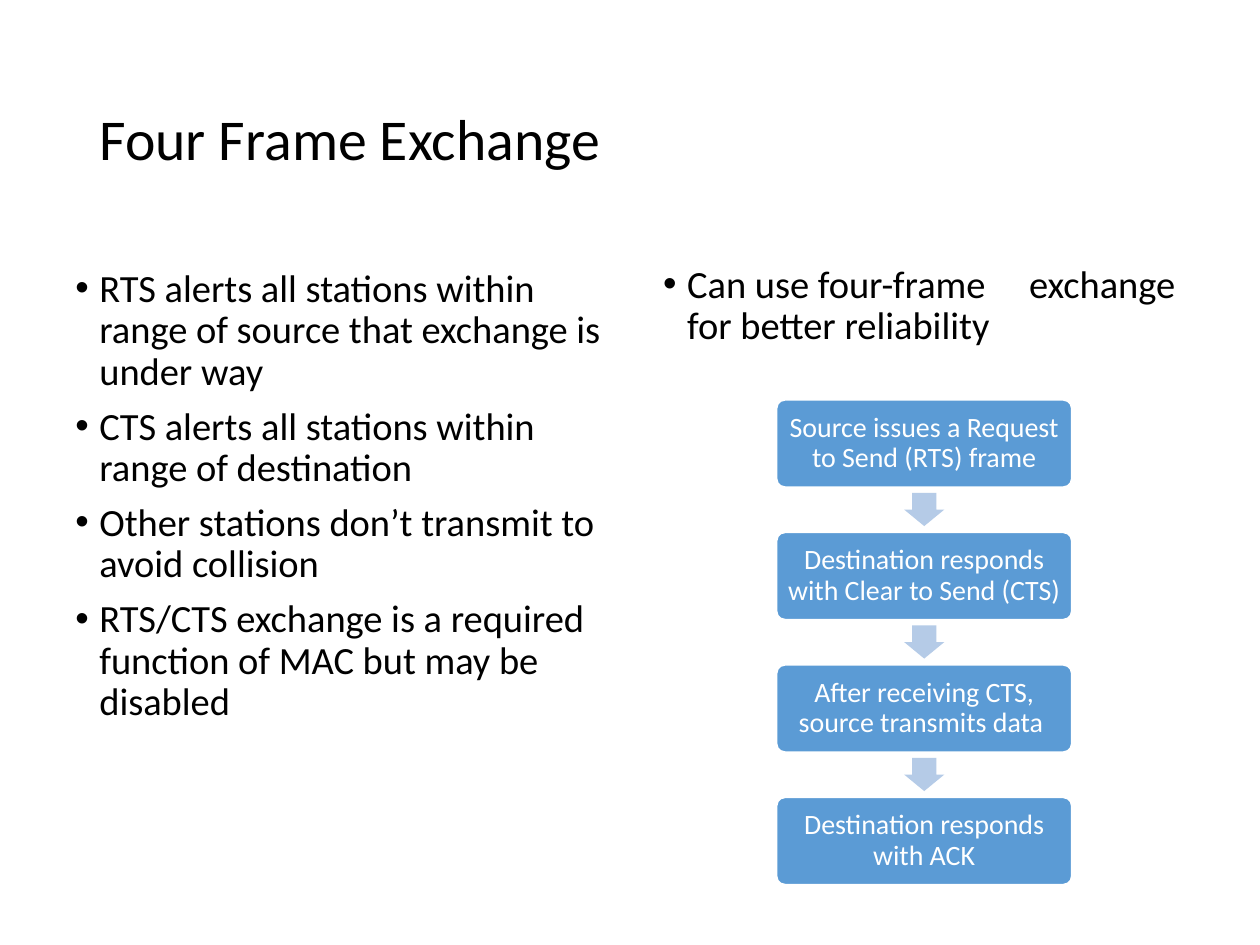
"""Build the Four Frame Exchange slide with its RTS/CTS flow."""
from lxml import etree
from pptx import Presentation
from pptx.dml.color import RGBColor
from pptx.enum.shapes import MSO_SHAPE
from pptx.enum.text import MSO_ANCHOR, PP_ALIGN
from pptx.oxml.ns import qn
from pptx.util import Inches, Pt

ROUNDED, DOWN_ARROW = MSO_SHAPE.ROUNDED_RECTANGLE, MSO_SHAPE.DOWN_ARROW
TOP, MIDDLE = MSO_ANCHOR.TOP, MSO_ANCHOR.MIDDLE
LEFT, CENTER = PP_ALIGN.LEFT, PP_ALIGN.CENTER
COLORS = {"ink": "000000", "paper": "FFFFFF", "step": "5B9BD5", "arrow": "B5CBE7"}
FONT = "Calibri"
HANGING = Inches(0.19)

deck = Presentation()
deck.slide_width, deck.slide_height = Inches(10), Inches(7.5)
column, row = deck.slide_width / 100, deck.slide_height / 100
slide = deck.slides.add_slide(deck.slide_layouts[6])


def area(left, top, width, height):
    return int(left * column), int(top * row), int(width * column), int(height * row)


def write(holder, paragraphs, size=22, color="ink", align=LEFT, anchor=TOP,
          inset=(0.1, 0.05), bullet=False):
    frame = holder.text_frame
    frame.word_wrap = True
    frame.vertical_anchor = anchor
    frame.margin_left = frame.margin_right = Inches(inset[0])
    frame.margin_top = frame.margin_bottom = Inches(inset[1])
    for index, pieces in enumerate(paragraphs):
        paragraph = frame.add_paragraph() if index else frame.paragraphs[0]
        paragraph.alignment = align
        paragraph.line_spacing = 0.9
        if bullet:
            paragraph.space_before = Pt(7.5)
            properties = paragraph._p.get_or_add_pPr()
            properties.set("marL", str(HANGING))
            properties.set("indent", str(-HANGING))
            etree.SubElement(properties, qn("a:buFont")).set("typeface", "Arial")
            etree.SubElement(properties, qn("a:buChar")).set("char", "•")
        for piece in pieces:
            run = paragraph.add_run()
            run.text = piece
            run.font.name, run.font.size = FONT, Pt(size)
            run.font.color.rgb = RGBColor.from_string(COLORS[color])
    return frame


title = slide.shapes.add_textbox(*area(6.9, 5.33, 86.2, 19.33))
write(title, [["Four Frame Exchange"]], size=33, anchor=MIDDLE)

rules = slide.shapes.add_textbox(*area(5, 27.8, 44.2, 64.93))
write(rules, [
    ["RTS alerts all stations within range of source that exchange is under way"],
    ["CTS alerts all stations within range of destination"],
    ["Other stations don’t transmit to avoid collision"],
    ["RTS/CTS exchange is a required function of MAC but may be disabled"],
], bullet=True)

reliability = slide.shapes.add_textbox(*area(51.65, 27.4, 44.2, 12))
reliability_text = write(reliability, [
    ["Can use four-frame", " ", "exchange for better reliability"],
], bullet=True)
wide_space = reliability_text.paragraphs[0].runs[1]
wide_space._r.get_or_add_rPr().set("spc", "1990")

steps = [
    "Source issues a Request to Send (RTS) frame",
    "Destination responds with Clear to Send (CTS)",
    "After receiving CTS, source transmits data ",
    "Destination responds with ACK",
]
for number, step_text in enumerate(steps):
    step_top = 42.27 + 14.02 * number
    step = slide.shapes.add_shape(ROUNDED, *area(61.6, step_top, 23.5, 9.33))
    step.adjustments[0] = 0.1
    step.shadow.inherit = False
    step.fill.solid()
    step.fill.fore_color.rgb = RGBColor.from_string(COLORS["step"])
    step.line.color.rgb = RGBColor.from_string(COLORS["paper"])
    step.line.width = Pt(1.5)
    write(step, [[step_text]], size=16, color="paper", align=CENTER,
          anchor=MIDDLE, inset=(0.05, 0.05))
    if number < len(steps) - 1:
        arrow = slide.shapes.add_shape(DOWN_ARROW, *area(71.75, step_top + 9.9, 3.2, 3.5))
        arrow.adjustments[0], arrow.adjustments[1] = 0.6, 0.5
        arrow.shadow.inherit = False
        arrow.fill.solid()
        arrow.fill.fore_color.rgb = RGBColor.from_string(COLORS["arrow"])
        arrow.line.fill.background()

deck.save("out.pptx")
